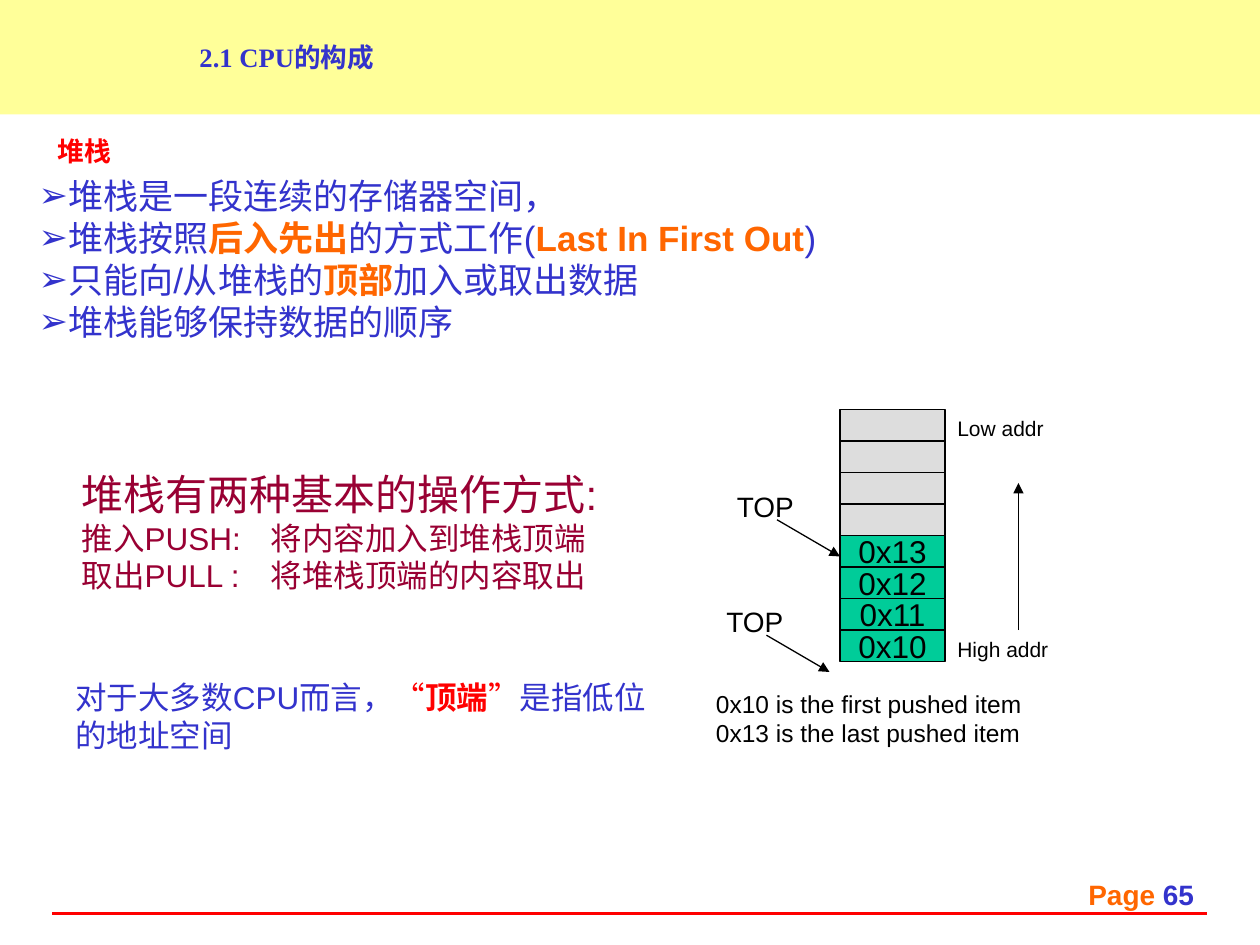
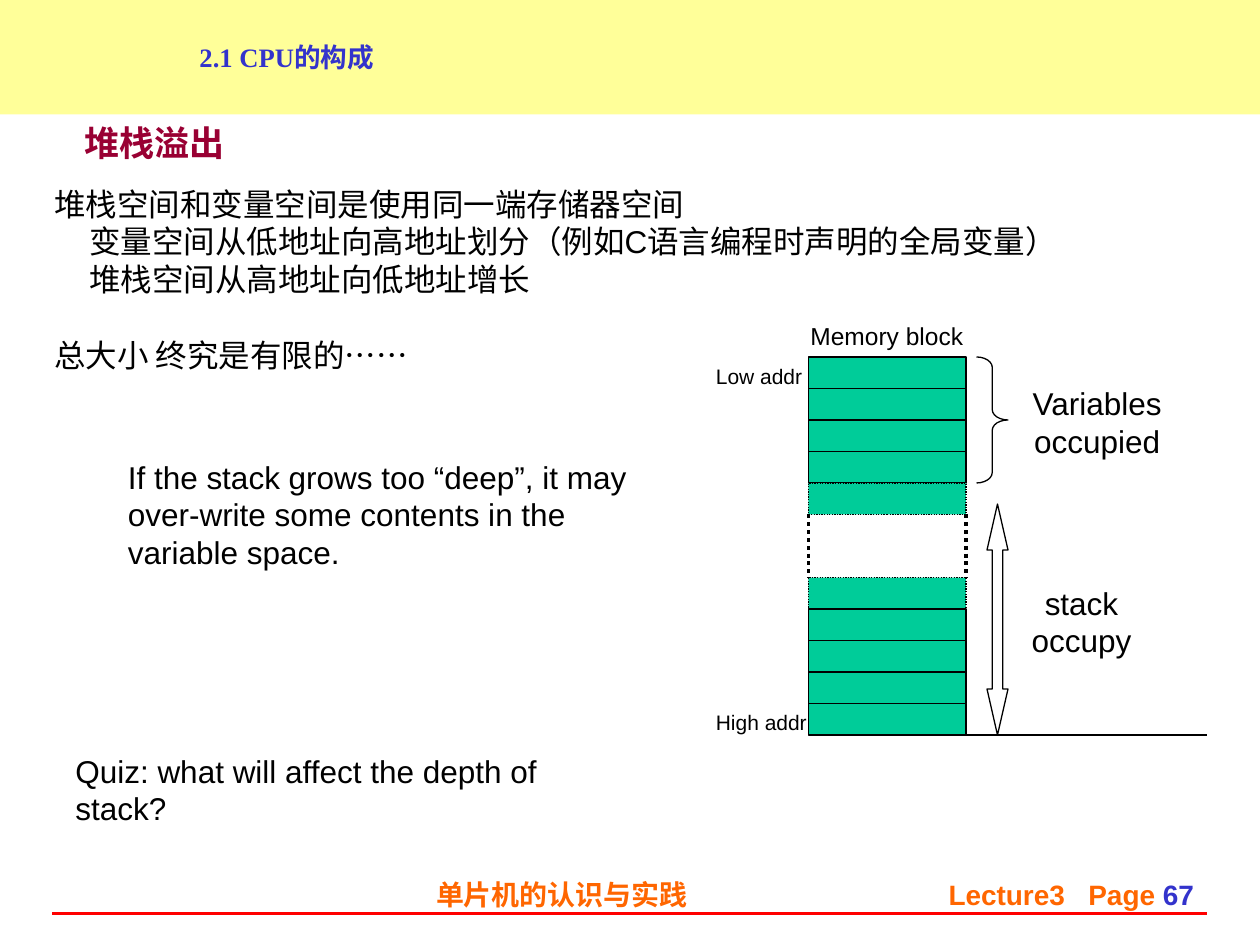
from lxml.etree import SubElement
from pptx import Presentation
from pptx.dml.color import RGBColor as RGB
from pptx.enum.dml import MSO_LINE as Dash
from pptx.enum.shapes import MSO_CONNECTOR as Conn, MSO_SHAPE as Shape
from pptx.enum.text import MSO_ANCHOR as Anchor, MSO_AUTO_SIZE as Auto, PP_ALIGN as Align
from pptx.oxml.ns import qn
from pptx.util import Pt

PX = 7620  # EMU in one px, 120 px to the inch
WIDE, HIGH = 1200, 900
PAD, GAP = 12, 6
ROW = 30
HUES = {
    "blue": "3333CC", "orange": "FF6600", "red": "FF0000", "wine": "990033",
    "black": "000000", "band": "FFFF99", "green": "00CC99", "grey": "DDDDDD",
}
ARIAL, TIMES = "Arial", "Times New Roman"
HEAD = "2.1 CPU的构成"

KEY = dict(hue="orange", bold=True)
FACTS = [
    "堆栈是一段连续的存储器空间，",
    ["堆栈按照", ("后入先出", KEY), "的方式工作(", ("Last In First Out", KEY), ")"],
    ["只能向/从堆栈的", ("顶部", KEY), "加入或取出数据"],
    "堆栈能够保持数据的顺序",
]
MODES = [
    dict(runs="堆栈有两种基本的操作方式:", size=24),
    "推入PUSH:\t将内容加入到堆栈顶端",
    "取出PULL :\t将堆栈顶端的内容取出",
]
NOTE = [["对于大多数CPU而言，", ("“", dict(hue="red")),
         ("顶端", dict(hue="red", bold=True)), ("”", dict(hue="red")),
         "是指低位的地址空间"]]
STACK = ["", "", "", "", "0x13", "0x12", "0x11", "0x10"]
ORDER = "0x10 is the first pushed item 0x13 is the last pushed item"
TOPS = [(690, 460), (680, 570)]

SPACE = [
    "堆栈空间和变量空间是使用同一端存储器空间",
    dict(runs="变量空间从低地址向高地址划分（例如C语言编程时声明的全局变量）", left=33),
    dict(runs="堆栈空间从高地址向低地址增长", left=33),
    dict(runs="总大小 终究是有限的……", before=21.5),
]
DEEP = "If the stack grows too “deep”, it may over-write some contents in the variable space."
QUIZ = "Quiz: what will affect the depth of stack?"
VARS = [False, False, False, False, True]  # True marks a dotted cell
USED = VARS[::-1]


def emu(*nums):
    return [n * PX for n in nums]


def color(name):
    return RGB.from_string(HUES[name])


def write(frame, paras, size=18, hue="black", font=ARIAL, bold=False, align=Align.LEFT,
          mid=False, wrap=True, inset=PAD, bullet=None, hang=0, tab=0):
    """Fill a frame; a paragraph is a string, a list of runs or a dict with its own format."""
    frame.word_wrap = wrap
    frame.auto_size = Auto.NONE
    frame.vertical_anchor = Anchor.MIDDLE if mid else Anchor.TOP
    frame.margin_left, frame.margin_right = emu(inset, PAD)
    frame.margin_top, frame.margin_bottom = emu(GAP, GAP)
    for i, item in enumerate([paras] if isinstance(paras, str) else paras):
        item = item if isinstance(item, dict) else dict(runs=item)
        para = frame.add_paragraph() if i else frame.paragraphs[0]
        para.alignment = align
        if "before" in item:
            para.space_before = Pt(item["before"])
        props = para._p.get_or_add_pPr()
        props.set("marL", str((item.get("left", 0) + hang) * PX))
        props.set("indent", str(-hang * PX))
        if bullet:
            SubElement(props, qn("a:buFont"), typeface=font)
            SubElement(props, qn("a:buChar"), char=bullet)
        if tab:
            stops = SubElement(props, qn("a:tabLst"))
            SubElement(stops, qn("a:tab"), pos=str(tab * PX), algn="l")
        runs = item["runs"]
        for part in [runs] if isinstance(runs, str) else runs:
            words, own = (part, {}) if isinstance(part, str) else part
            run = para.add_run()
            run.text = words
            run.font.name = font
            run.font.size = Pt(item.get("size", size))
            run.font.bold = own.get("bold", bold)
            run.font.color.rgb = color(own.get("hue", hue))


def text(slide, box, paras, **fmt):
    write(slide.shapes.add_textbox(*emu(*box)).text_frame, paras, **fmt)


def shape(slide, kind, box, fill=None, edge="black", dotted=False):
    item = slide.shapes.add_shape(kind, *emu(*box))
    item.shadow.inherit = False
    if fill:
        item.fill.solid()
        item.fill.fore_color.rgb = color(fill)
    else:
        item.fill.background()
    if edge:
        item.line.color.rgb = color(edge)
        item.line.width = Pt(0.75)
        if dotted:
            item.line.dash_style = Dash.ROUND_DOT
    else:
        item.line.fill.background()
    return item


def line(slide, ends, hue="black", width=0.75, dotted=False, arrow=False):
    item = slide.shapes.add_connector(Conn.STRAIGHT, *emu(*ends))
    item.line.color.rgb = color(hue)
    item.line.width = Pt(width)
    if dotted:
        item.line.dash_style = Dash.ROUND_DOT
    if arrow:
        SubElement(item.line._get_or_add_ln(), qn("a:tailEnd"), type="triangle")
    SubElement(item._element.spPr, qn("a:effectLst"))


def frame(deck, page):
    """Add a slide with the shared band, rule and page number."""
    slide = deck.slides.add_slide(deck.slide_layouts[6])
    band = shape(slide, Shape.RECTANGLE, (0, 0, WIDE, 109), "band", None)
    write(band.text_frame, HEAD, size=15.2, hue="blue", font=TIMES, bold=True,
          mid=True, inset=190)
    line(slide, (50, 870, 1150, 870), "red", 2.25)
    foot(slide, (830, 830, 319, 50), [["Page ", (page, dict(hue="blue", bold=True))]])
    return slide


def foot(slide, box, paras, align=Align.RIGHT):
    text(slide, box, paras, size=16, hue="orange", bold=True, align=align)


def ends(slide, x, low, high):
    """Label the lowest and the highest address beside a block."""
    for y, word in ((low, "Low addr"), (high, "High addr")):
        text(slide, (x, y, 120, 36), word, size=12)


def stack(deck):
    slide = frame(deck, "65")
    text(slide, (35, 121, 91, 46), "堆栈", size=15.3, hue="red", font=TIMES, bold=True,
         align=Align.CENTER, mid=True)
    text(slide, (25, 160, 800, 212), FACTS, size=20, hue="blue", bullet="➢", hang=28)
    text(slide, (66, 440, 540, 132), MODES, hue="wine", tab=190)
    text(slide, (60, 640, 572, 84), NOTE, hue="blue")
    for i, word in enumerate(STACK):
        cell = shape(slide, Shape.RECTANGLE, (800, 390 + i * ROW, 100, ROW),
                     "green" if word else "grey")
        if word:
            write(cell.text_frame, word, align=Align.CENTER, mid=True, wrap=False)
    ends(slide, 900, 390, 600)
    line(slide, (970, 600, 970, 460), arrow=True)
    for x, y in TOPS:
        text(slide, (x, y, 84, 44), "TOP", size=16)
        line(slide, (x + 50, y + 35, x + 110, y + 70), arrow=True)
    text(slide, (670, 650, 330, 68), ORDER, size=14)


def spill(deck):
    slide = frame(deck, "67")
    foot(slide, (825, 830, 201, 50), "Lecture3")
    foot(slide, (300, 830, 470, 50), "单片机的认识与实践", Align.CENTER)
    text(slide, (42, 106, 211, 60), "堆栈溢出", size=20, hue="wine", font=TIMES, bold=True,
         align=Align.CENTER, mid=True)
    text(slide, (40, 170, 1020, 228), SPACE)
    text(slide, (110, 430, 502, 120), DEEP)
    text(slide, (60, 710, 550, 84), QUIZ)
    for top, cells in ((340, VARS), (550, USED)):
        for i, dotted in enumerate(cells):
            shape(slide, Shape.RECTANGLE, (770, top + i * ROW, 150, ROW), "green",
                  dotted=dotted)
    for x in (770, 920):
        line(slide, (x, 490, x, 550), width=2.25, dotted=True)
    ends(slide, 670, 340, 670)
    text(slide, (760, 300, 190, 41), "Memory block", size=14)
    brace = shape(slide, Shape.RIGHT_BRACE, (930, 340, 30, 120))
    brace.adjustments[0] = 0.33
    span = shape(slide, Shape.UP_DOWN_ARROW, (940, 480, 20, 220))
    span.adjustments[len(span.adjustments) - 1] = 2.19  # head length is the last one
    line(slide, (920, 700, 1150, 700))
    for box, words in (((966, 360, 158, 84), ["Variables", "occupied"]),
                       ((966, 550, 128, 84), ["stack", "occupy"])):
        text(slide, box, words, align=Align.CENTER)


def main():
    deck = Presentation()
    deck.slide_width, deck.slide_height = emu(WIDE, HIGH)
    stack(deck)
    spill(deck)
    deck.save("out.pptx")


if __name__ == "__main__":
    main()
